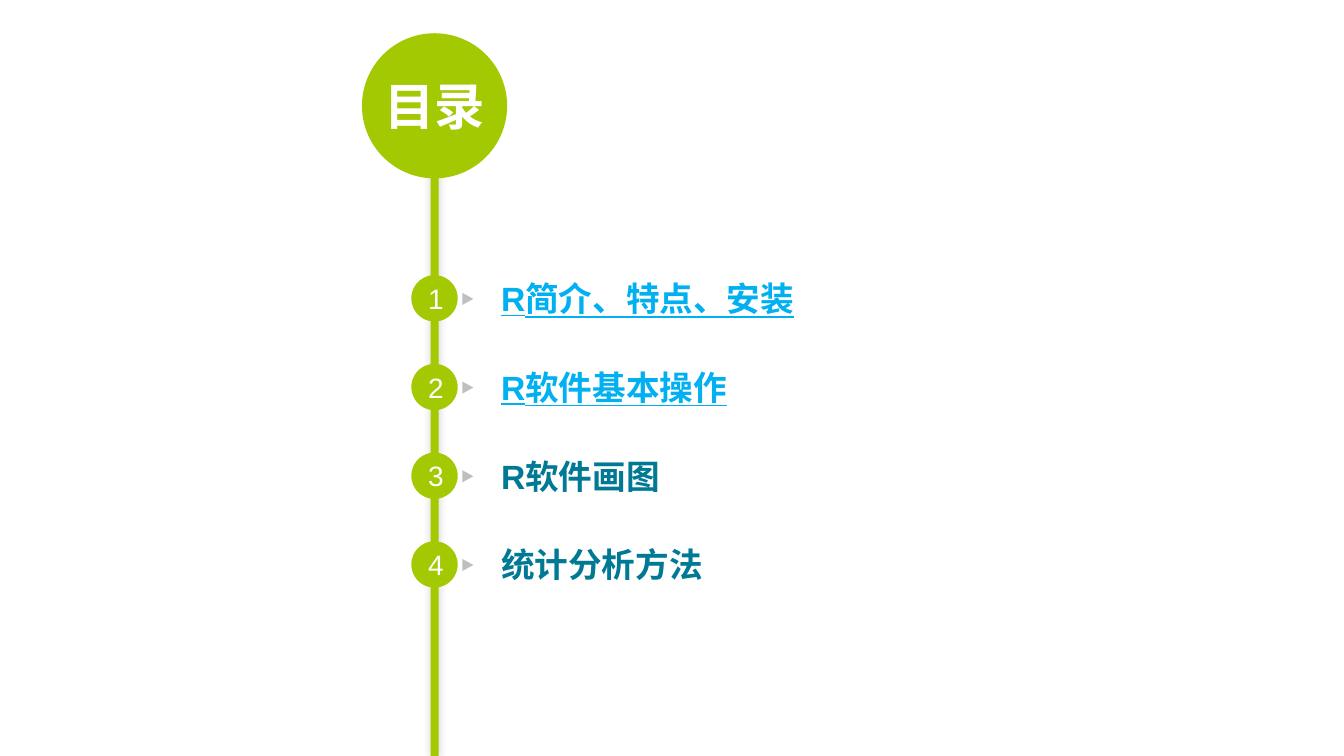
from lxml import etree
from pptx import Presentation
from pptx.dml.color import RGBColor
from pptx.enum.shapes import MSO_SHAPE
from pptx.enum.text import MSO_ANCHOR, PP_ALIGN
from pptx.oxml.ns import qn
from pptx.util import Inches, Pt

RECTANGLE = MSO_SHAPE.RECTANGLE
OVAL = MSO_SHAPE.OVAL
TRIANGLE = MSO_SHAPE.ISOSCELES_TRIANGLE
MIDDLE = MSO_ANCHOR.MIDDLE
LEFT, CENTER = PP_ALIGN.LEFT, PP_ALIGN.CENTER

FONT = "Arial"
COLORS = {
    "green": "A3C902",
    "white": "FFFFFF",
    "link": "00B0F0",
    "teal": "007995",
    "grey": "BFBFBF",
    "shadow": "000000",
}

# Topic and whether it looks like a link
TOPICS = [
    ("R简介、特点、安装", True),
    ("R软件基本操作", True),
    ("R软件画图", False),
    ("统计分析方法", False),
]
AXIS_X = 4.31
FIRST_Y = 2.96
STEP_Y = 0.88


def add_filled(slide, kind, left, top, width, height, color):
    shape = slide.shapes.add_shape(
        kind, Inches(left), Inches(top), Inches(width), Inches(height))
    shape.shadow.inherit = False
    shape.fill.solid()
    shape.fill.fore_color.rgb = RGBColor.from_string(COLORS[color])
    shape.line.fill.background()
    return shape


def remove_margins(frame):
    frame.margin_left = frame.margin_right = 0
    frame.margin_top = frame.margin_bottom = 0


def write(frame, text, size, color, align, bold=False, underline=False):
    frame.word_wrap = True
    frame.vertical_anchor = MIDDLE
    paragraph = frame.paragraphs[0]
    paragraph.alignment = align
    run = paragraph.add_run()
    run.text = text
    run.font.name = FONT
    run.font.size = Pt(size)
    run.font.bold = bold
    run.font.underline = underline
    run.font.color.rgb = RGBColor.from_string(COLORS[color])


def add_soft_shadow(shape):
    effects = shape.element.spPr.find(qn("a:effectLst"))
    shadow = etree.SubElement(
        effects, qn("a:outerShdw"), blurRad=str(Pt(6)), dist="0",
        dir=str(225 * 60000), rotWithShape="0")
    color = etree.SubElement(shadow, qn("a:srgbClr"), val=COLORS["shadow"])
    etree.SubElement(color, qn("a:alpha"), val="20000")


def add_rail(slide):
    width, top = 0.08, 1.04
    rail = add_filled(slide, RECTANGLE, AXIS_X - width / 2, top,
                      width, 7.5 - top, "green")
    add_soft_shadow(rail)


def add_heading(slide):
    size = 1.44
    heading = add_filled(slide, OVAL, AXIS_X - size / 2, 0.33,
                         size, size, "green")
    remove_margins(heading.text_frame)
    write(heading.text_frame, "目录", 36, "white", CENTER, bold=True)


def add_topic(slide, number, topic, is_link):
    center_y = FIRST_Y + (number - 1) * STEP_Y

    # Numbered dot
    size = 0.46
    dot = add_filled(slide, OVAL, AXIS_X - size / 2, center_y - size / 2,
                     size, size, "green")
    write(dot.text_frame, str(number), 20, "white", CENTER)

    # Topic text
    height = 0.7
    label = slide.shapes.add_textbox(
        Inches(4.97), Inches(center_y - height / 2),
        Inches(5.84), Inches(height))
    remove_margins(label.text_frame)
    write(label.text_frame, topic, 24, "link" if is_link else "teal", LEFT,
          bold=True, underline=is_link)

    # Pointer
    pointer = add_filled(slide, TRIANGLE, 4.58, center_y - 0.05,
                         0.12, 0.11, "grey")
    pointer.rotation = 90


def main():
    deck = Presentation()
    deck.slide_width = Inches(13.33)
    deck.slide_height = Inches(7.5)
    slide = deck.slides.add_slide(deck.slide_layouts[6])
    add_rail(slide)
    add_heading(slide)
    for number, (topic, is_link) in enumerate(TOPICS, start=1):
        add_topic(slide, number, topic, is_link)
    deck.save("out.pptx")


if __name__ == "__main__":
    main()
